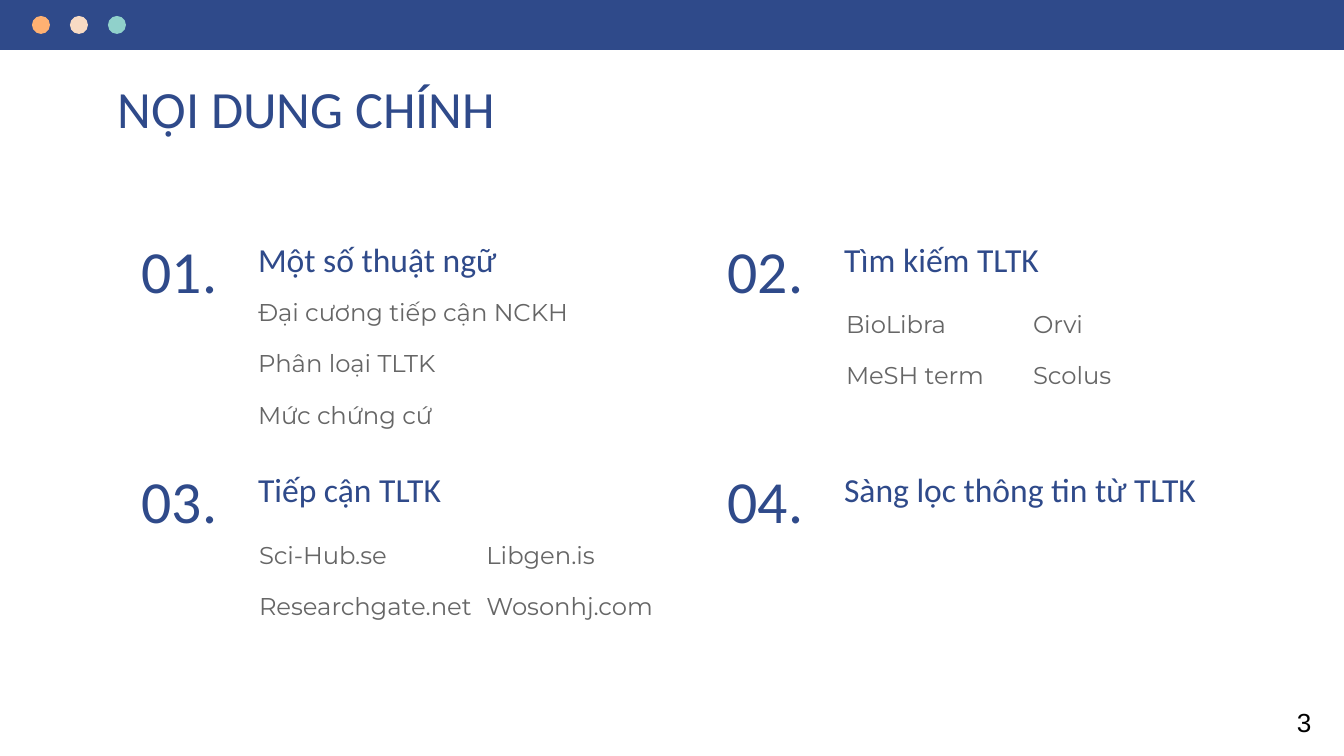
from pptx import Presentation
from pptx.dml.color import RGBColor
from pptx.enum import shapes, text
from pptx.oxml.ns import qn
from lxml import etree

PX = 914400 / 134.4  # EMU per px
COLORS = {"navy": "2F4A8A", "gray": "666666", "black": "000000",
          "orange": "FFB172", "cream": "F8DBC4", "teal": "90D1CB"}
TITLE = {"name": "Calibri", "size": 28, "color": "navy"}
HEADING = {**TITLE, "size": 18}
NUMBER = {**TITLE, "size": 32}
LIST = {"name": "Montserrat", "size": 13, "color": "gray"}
PAGE = {"name": "Arial", "size": 14, "color": "black"}


def px(*values):
    return [round(v * PX) for v in values]


def write(sp, box, lines, fmt, align="LEFT", anchor="TOP", after=0, inset=13, columns=1):
    sp.left, sp.top, sp.width, sp.height = px(*box)
    tf = sp.text_frame
    frame = {"word_wrap": True, "auto_size": text.MSO_AUTO_SIZE.NONE,
             "vertical_anchor": getattr(text.MSO_ANCHOR, anchor)}
    for side, value in zip(("left", "right", "top", "bottom"), px(13, 13, inset, inset)):
        frame[f"margin_{side}"] = value
    for key, value in frame.items():
        setattr(tf, key, value)
    if columns > 1:
        tf._txBody.bodyPr.set("numCol", str(columns))
    for i, line in enumerate(lines):
        p = tf.add_paragraph() if i else tf.paragraphs[0]
        pPr = p._p.get_or_add_pPr()
        pPr.set("marL", "0")
        pPr.set("indent", "0")
        etree.SubElement(pPr, qn("a:buNone"))
        p.alignment = getattr(text.PP_ALIGN, align)
        p.space_before, p.space_after = 0, after * 12700
        r = p.add_run()
        r.text = line
        values = {"name": fmt["name"], "size": fmt["size"] * 12700, "bold": False}
        for key, value in values.items():
            setattr(r.font, key, value)
        r.font.color.rgb = RGBColor.from_string(COLORS[fmt["color"]])


prs = Presentation()
prs.slide_width, prs.slide_height = px(1344, 756)
s = prs.slides.add_slide(prs.slide_layouts[4])
bodies = [sp for sp in s.placeholders if sp.placeholder_format.idx > 0]

# Title
write(s.shapes.title, (105, 63, 1134, 69), ["NỘI DUNG CHÍNH"], TITLE)

# Numbered sections on a two by two grid
sections = ["Một số thuật ngữ", "Tìm kiếm TLTK", "Tiếp cận TLTK", "Sàng lọc thông tin từ TLTK"]
for i, heading in enumerate(sections):
    x, y = 113 + i % 2 * 586, 226 + i // 2 * 230
    write(s.shapes.add_textbox(0, 0, 0, 0), (x + 132, y, 431, 69), [heading], HEADING)
    write(s.shapes.add_textbox(0, 0, 0, 0), (x, y + 7, 133, 86), [f"{i + 1:02}."], NUMBER,
          align="CENTER", anchor="BOTTOM")

# Topic lists
lists = [
    ((245, 284, 363, 86), 1, ["Đại cương tiếp cận NCKH", "Phân loại TLTK", "Mức chứng cứ"]),
    ((833, 296, 400, 86), 2, ["BioLibra", "MeSH term", "Orvi", "Scolus"]),
    ((246, 527, 481, 86), 2, ["Sci-Hub.se", "Researchgate.net", "Libgen.is", "Wosonhj.com"]),
]
for sp, (box, columns, lines) in zip(bodies, lists):
    write(sp, box, lines, LIST, after=12, columns=columns)
for sp in bodies[len(lists):]:
    sp._element.getparent().remove(sp._element)

# Top bar with three dots
kinds = shapes.MSO_SHAPE
bar = [(kinds.RECTANGLE, (0, 0, 1344, 50), "navy")]
for i, color in enumerate(("orange", "cream", "teal")):
    bar.append((kinds.OVAL, (32 + i * 38, 16, 18, 18), color))
for kind, box, color in bar:
    sp = s.shapes.add_shape(kind, *px(*box))
    sp.shadow.inherit = False
    sp.fill.solid()
    sp.fill.fore_color.rgb = RGBColor.from_string(COLORS[color])
    sp.line.fill.background()

# Page number
write(s.shapes.add_textbox(0, 0, 0, 0), (1284, 699, 40, 46), ["3"], PAGE, inset=7)

prs.save("out.pptx")
